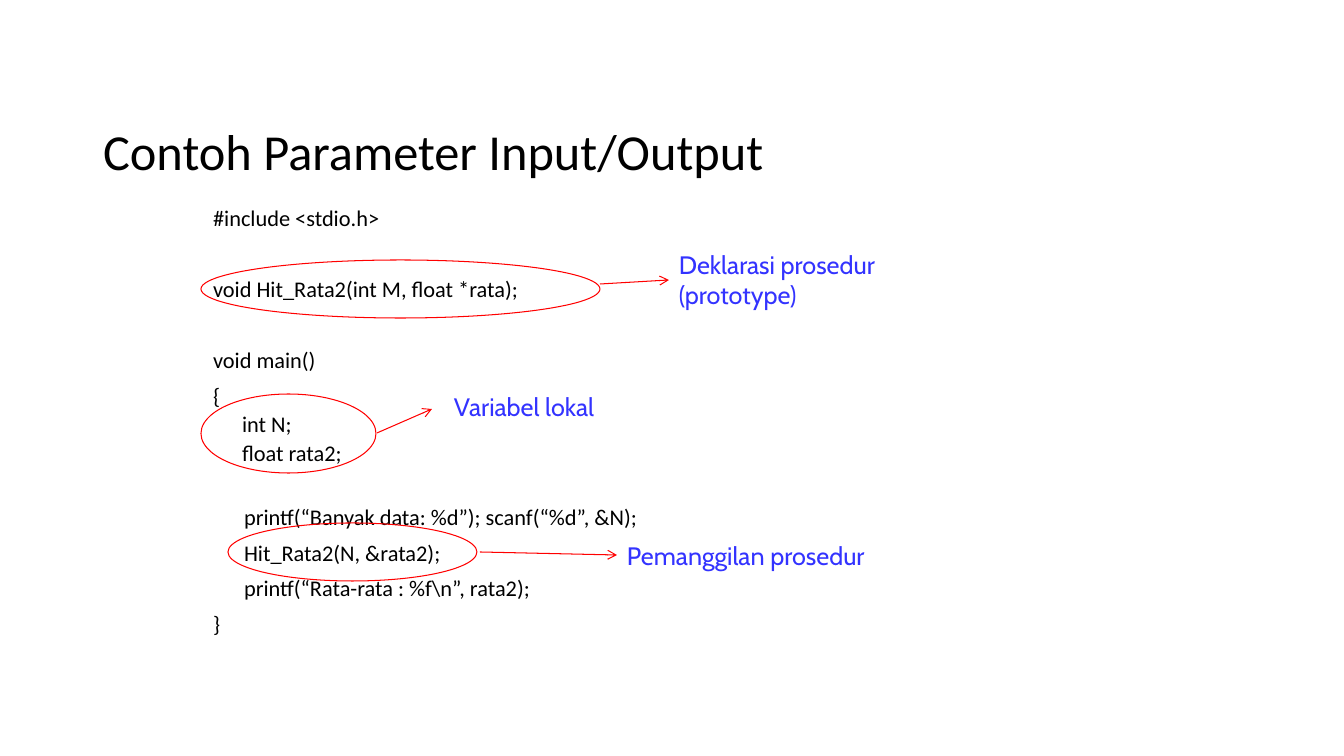
from lxml import etree
from pptx import Presentation
from pptx import util as u
from pptx.dml.color import RGBColor
from pptx.enum import shapes, text
from pptx.oxml import ns

BLACK = RGBColor(0, 0, 0)
RED = RGBColor(0xFF, 0, 0)
BLUE = RGBColor(0x33, 0x33, 0xFF)
SCALE = 914400 / 100.8

CODE = [
    ("#include <stdio.h>", 9, 0),
    ("void Hit_Rata2(int M, float *rata);", 9, 35.6),
    ("void main()", 9, 35.6),
    ("{", 9, 10),
    ("int N;", 38, 5),
    ("float rata2;", 38, 5),
    ("printf(“Banyak data: %d”); scanf(“%d”, &N);", 40, 30.6),
    ("Hit_Rata2(N, &rata2);", 40, 10),
    ("printf(“Rata-rata : %f\\n”, rata2);", 40, 10),
    ("}", 9, 10),
]

NOTES = [
    ((201, 394, 175, 79), (377, 433, 432, 409),
     (444, 386, 186, 40), ["Variabel lokal"], False),
    ((201, 260, 399, 58), (600, 284, 669, 280),
     (669, 244, 239, 72), ["Deklarasi prosedur", "(prototype)"], True),
    ((228, 523, 249, 58), (480, 552, 617, 555),
     (617, 535, 298, 40), ["Pemanggilan prosedur"], True),
]


def px(n):
    return u.Emu(round(n * SCALE))


def place(shape, box):
    shape.left, shape.top, shape.width, shape.height = map(px, box)


def add_run(para, words, size, face, color):
    run = para.add_run()
    run.text = words
    run.font.size = u.Pt(size)
    run.font.name = face
    run.font.color.rgb = color


def set_title(shape, words):
    place(shape, (93, 127, 1159, 54))
    frame = shape.text_frame
    frame.auto_size = text.MSO_AUTO_SIZE.NONE
    frame.vertical_anchor = text.MSO_ANCHOR.MIDDLE
    para = frame.paragraphs[0]
    para.alignment = text.PP_ALIGN.LEFT
    para.line_spacing = 0.9
    add_run(para, words, 36, "Calibri", BLACK)


def set_code(shape):
    place(shape, (194, 204, 857, 454))
    frame = shape.text_frame
    frame.auto_size = text.MSO_AUTO_SIZE.NONE
    for i, (words, left, gap) in enumerate(CODE):
        para = frame.add_paragraph() if i else frame.paragraphs[0]
        props = para._p.get_or_add_pPr()
        props.set("marL", str(px(left)))
        props.set("indent", "0")
        etree.SubElement(props, ns.qn("a:buNone"))
        para.line_spacing = 0.8
        para.space_before = u.Pt(gap)
        add_run(para, words, 16, "Calibri", BLACK)


def add_ring(slide, box):
    ring = slide.shapes.add_shape(shapes.MSO_SHAPE.OVAL, *map(px, box))
    ring.shadow.inherit = False
    ring.fill.background()
    ring.line.color.rgb = RED
    ring.line.width = u.Pt(0.75)


def add_label(slide, box, lines):
    label = slide.shapes.add_textbox(*map(px, box))
    frame = label.text_frame
    frame.word_wrap = True
    for i, words in enumerate(lines):
        para = frame.add_paragraph() if i else frame.paragraphs[0]
        add_run(para, words, 18, "Cabin", BLUE)
    return label


def add_arrow(slide, ends):
    arrow = slide.shapes.add_connector(
        shapes.MSO_CONNECTOR.STRAIGHT, *map(px, ends))
    arrow.line.color.rgb = RED
    arrow.line.width = u.Pt(0.75)
    etree.SubElement(arrow.line._get_or_add_ln(),
                     ns.qn("a:tailEnd"), type="arrow")
    etree.SubElement(arrow._element.spPr, ns.qn("a:effectLst"))
    return arrow


def main():
    deck = Presentation()
    deck.slide_width = px(1344)
    deck.slide_height = px(756)
    slide = deck.slides.add_slide(deck.slide_layouts[1])
    set_title(slide.shapes.title, "Contoh Parameter Input/Output")
    set_code(slide.placeholders[1])
    for ring, ends, box, lines, joined in NOTES:
        add_ring(slide, ring)
        arrow = add_arrow(slide, ends)
        label = add_label(slide, box, lines)
        if joined:
            arrow.end_connect(label, 1)
    deck.save("out.pptx")


if __name__ == "__main__":
    main()
